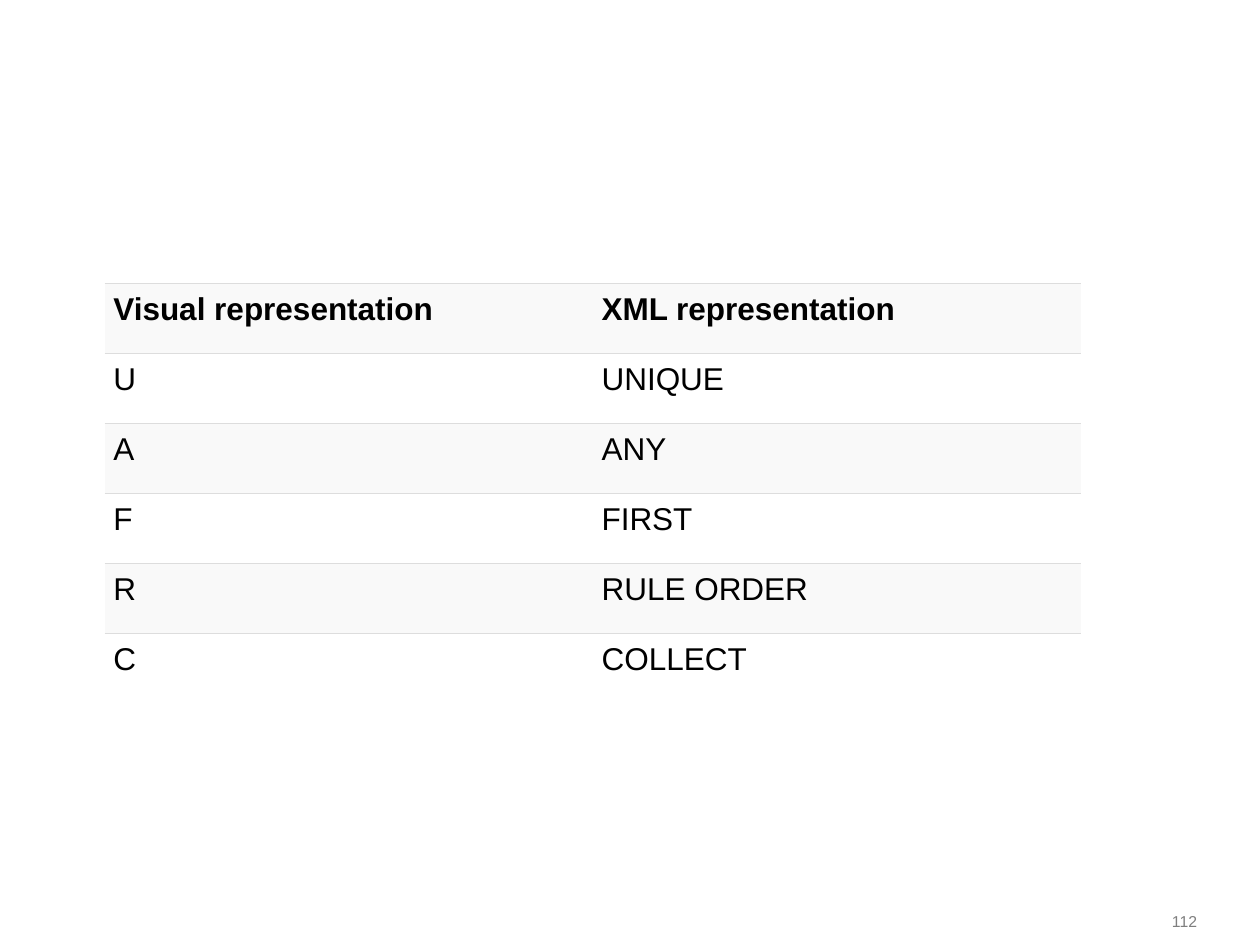
from lxml import etree
from pptx import Presentation
from pptx.dml.color import RGBColor
from pptx.enum.text import MSO_ANCHOR, PP_ALIGN
from pptx.oxml.ns import qn
from pptx.util import Inches, Pt

MIDDLE = MSO_ANCHOR.MIDDLE
RIGHT = PP_ALIGN.RIGHT


def color(value):
    return RGBColor.from_string(value)


def add_span(para, text, size, value, bold=False):
    span = para.add_run()
    span.text = text
    span.font.name = "Arial"
    span.font.size = Pt(size)
    span.font.bold = bold
    span.font.color.rgb = color(value)


deck = Presentation()
deck.slide_width = Inches(10)
deck.slide_height = Inches(7.5)
page = deck.slides.add_slide(deck.slide_layouts[6])

# Slide number
box = page.shapes.add_textbox(Inches(8.91), Inches(7.18), Inches(0.59), Inches(0.27))
frame = box.text_frame
frame.word_wrap = True
frame.vertical_anchor = MIDDLE
frame.margin_left = frame.margin_right = frame.margin_top = frame.margin_bottom = 0
frame.paragraphs[0].alignment = RIGHT
add_span(frame.paragraphs[0], "112", 9, "7F7F7F")

# Hit policy table
policies = [
    ("Visual representation", "XML representation"),
    ("U", "UNIQUE"),
    ("A", "ANY"),
    ("F", "FIRST"),
    ("R", "RULE ORDER"),
    ("C", "COLLECT"),
]
table = page.shapes.add_table(
    len(policies), 2, Inches(0.83), Inches(2.25), Inches(7.75), Inches(3.33)
).table
last = len(policies) - 1

for row, policy in enumerate(policies):
    for column, text in enumerate(policy):
        cell = table.cell(row, column)
        cell.margin_left = cell.margin_right = Inches(0.07)
        cell.margin_top = cell.margin_bottom = Inches(0.07)
        add_span(cell.text_frame.paragraphs[0], text, 18, "000000", bold=row == 0)

        # Grey rules between rows, none at the sides or under the last row
        properties = cell._tc.get_or_add_tcPr()
        for side in ("lnL", "lnR", "lnT", "lnB"):
            border = etree.SubElement(properties, qn(f"a:{side}"))
            if side == "lnT" or (side == "lnB" and row < last):
                border.set("w", str(Pt(0.6)))
                fill = etree.SubElement(border, qn("a:solidFill"))
                etree.SubElement(fill, qn("a:srgbClr"), val="DDDDDD")
            else:
                etree.SubElement(border, qn("a:noFill"))

        # Alternate row shading
        cell.fill.solid()
        cell.fill.fore_color.rgb = color("FFFFFF" if row % 2 else "F9F9F9")

deck.save("out.pptx")
